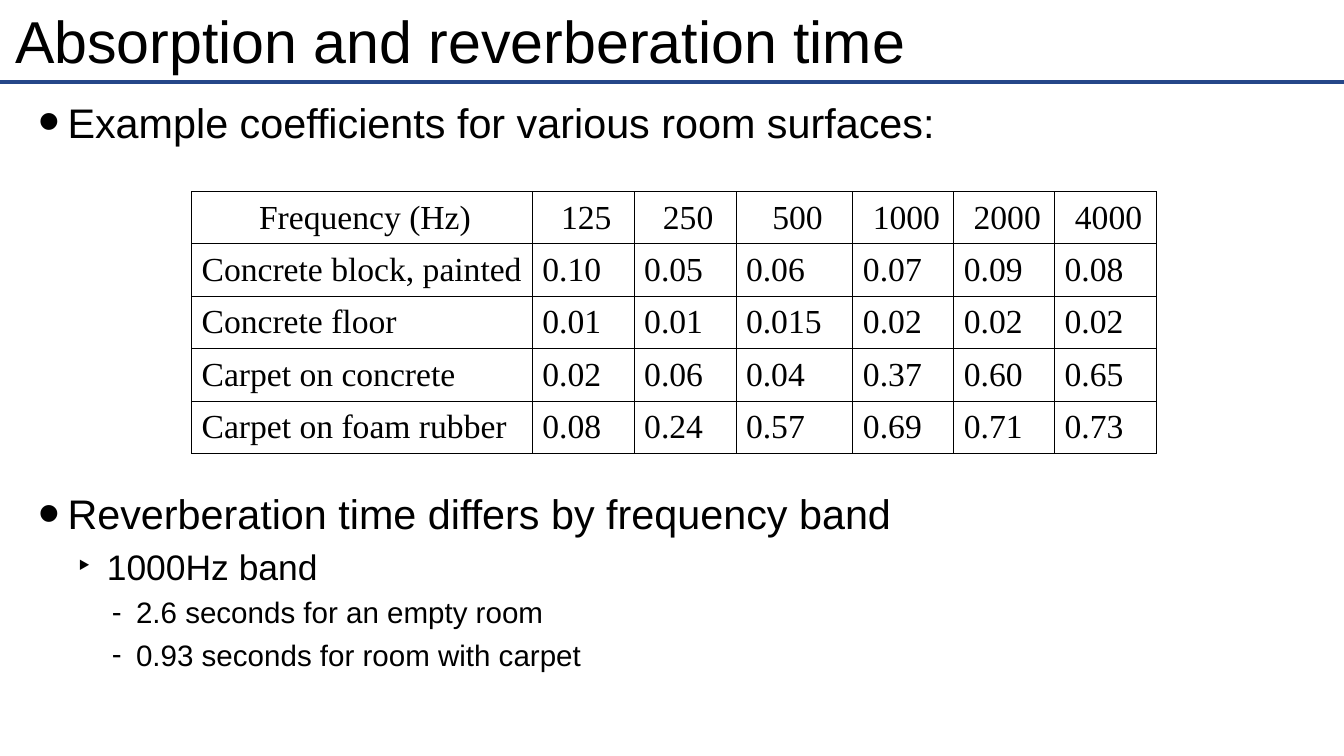
"""Build the slide on absorption and reverberation time."""
import pptx
import pptx.util
import pptx.dml.color
import pptx.enum.shapes
import pptx.enum.text
import pptx.oxml
import pptx.oxml.ns

Inches, Pt = pptx.util.Inches, pptx.util.Pt
Align = pptx.enum.text.PP_ALIGN
Anchor = pptx.enum.text.MSO_ANCHOR

WIDE, HIGH = 13.33, 7.5
COLORS = {"ink": "000000", "rule": "254789"}
TITLE = "Absorption and reverberation time"
LEVELS = [
    {"size": 29.5, "left": 0.49, "hang": 0.29, "mark": "•", "scale": 150},
    {"size": 25.3, "left": 0.88, "hang": 0.29, "mark": "‣", "scale": 100},
    {"size": 21.1, "left": 1.17, "hang": 0.24, "mark": "-", "scale": 100},
]
POINTS = [
    (0, 0, "Example coefficients for various room surfaces:"),
    (0, 244, "Reverberation time differs by frequency band"),
    (1, 5.2, "1000Hz band"),
    (2, 5, "2.6 seconds for an empty room"),
    (2, 5, "0.93 seconds for room with carpet"),
]
ROWS = [
    ("Frequency (Hz)", "125", "250", "500", "1000", "2000", "4000"),
    ("Concrete block, painted", "0.10", "0.05", "0.06", "0.07", "0.09", "0.08"),
    ("Concrete floor", "0.01", "0.01", "0.015", "0.02", "0.02", "0.02"),
    ("Carpet on concrete", "0.02", "0.06", "0.04", "0.37", "0.60", "0.65"),
    ("Carpet on foam rubber", "0.08", "0.24", "0.57", "0.69", "0.71", "0.73"),
]
COLS = [3.38, 1.01, 1.01, 1.16, 1, 1, 1.01]
ROW = 0.52


def node(parent, tag, **attrs):
    """Append a drawing element to a parent."""
    item = pptx.oxml.parse_xml(f"<a:{tag} {pptx.oxml.ns.nsdecls('a')}/>")
    for name, value in attrs.items():
        item.set(name, str(value))
    parent.append(item)
    return item


def write(para, text, size, font="Arial", align=Align.LEFT, left=0, hang=0,
          mark=None, scale=100, before=0):
    """Fill one paragraph with formatted text."""
    props = para._p.get_or_add_pPr()
    props.set("marL", str(Inches(left)))
    props.set("indent", str(-Inches(hang)))
    if mark:
        node(props, "buSzPct", val=scale * 1000)
        node(props, "buFont", typeface=font)
        node(props, "buChar", char=mark)
    para.alignment = align
    para.space_before = Pt(before)
    run = para.add_run()
    run.text = text
    run.font.size = Pt(size)
    run.font.name = font
    run.font.color.rgb = pptx.dml.color.RGBColor.from_string(COLORS["ink"])


def add_box(slide, left, top, width, height, anchor):
    """Add a wrapping text box and return its frame."""
    box = slide.shapes.add_textbox(*map(Inches, (left, top, width, height)))
    frame = box.text_frame
    frame.word_wrap = True
    frame.vertical_anchor = anchor
    frame.margin_left = frame.margin_right = Inches(0.06)
    frame.margin_top = frame.margin_bottom = Inches(0.06)
    return frame


def add_rule(slide):
    """Draw the line under the title."""
    y = Inches(0.81)
    rule = slide.shapes.add_connector(
        pptx.enum.shapes.MSO_CONNECTOR.STRAIGHT, 0, y, Inches(WIDE), y)
    rule.line.color.rgb = pptx.dml.color.RGBColor.from_string(COLORS["rule"])
    rule.line.width = Pt(3)
    node(rule._element.spPr, "effectLst")


def add_grid(slide):
    """Add the table of coefficients."""
    grid = slide.shapes.add_table(
        len(ROWS), len(COLS), Inches(1.9), Inches(1.9),
        Inches(sum(COLS)), Inches(ROW * len(ROWS))).table
    grid.first_row = grid.horz_banding = False
    for col, width in zip(grid.columns, COLS):
        col.width = Inches(width)
    for r, row in enumerate(ROWS):
        grid.rows[r].height = Inches(ROW)
        for c, text in enumerate(row):
            cell = grid.cell(r, c)
            cell.vertical_anchor = Anchor.MIDDLE
            cell.margin_left = cell.margin_right = Inches(0.04)
            cell.margin_top = cell.margin_bottom = Inches(0.04)
            write(cell.text_frame.paragraphs[0], text, 24, "Times New Roman",
                  left=0.06, align=Align.LEFT if r else Align.CENTER)
            props = cell._tc.get_or_add_tcPr()
            for side in ("lnL", "lnR", "lnT", "lnB"):
                edge = node(props, side, w=Pt(0.75))
                node(node(edge, "solidFill"), "srgbClr", val=COLORS["ink"])
            cell.fill.background()


def main():
    """Build and save the slide."""
    deck = pptx.Presentation()
    deck.slide_width, deck.slide_height = Inches(WIDE), Inches(HIGH)
    slide = deck.slides.add_slide(deck.slide_layouts[6])
    add_rule(slide)
    title = add_box(slide, 0.09, 0.04, 13.14, 0.71, Anchor.MIDDLE)
    write(title.paragraphs[0], TITLE, 42.2)
    body = add_box(slide, 0.12, 0.9, 13.14, 6.54, Anchor.TOP)
    for i, (level, before, text) in enumerate(POINTS):
        para = body.add_paragraph() if i else body.paragraphs[0]
        para.level = level
        write(para, text, before=before, **LEVELS[level])
    add_grid(slide)
    deck.save("out.pptx")


if __name__ == "__main__":
    main()
